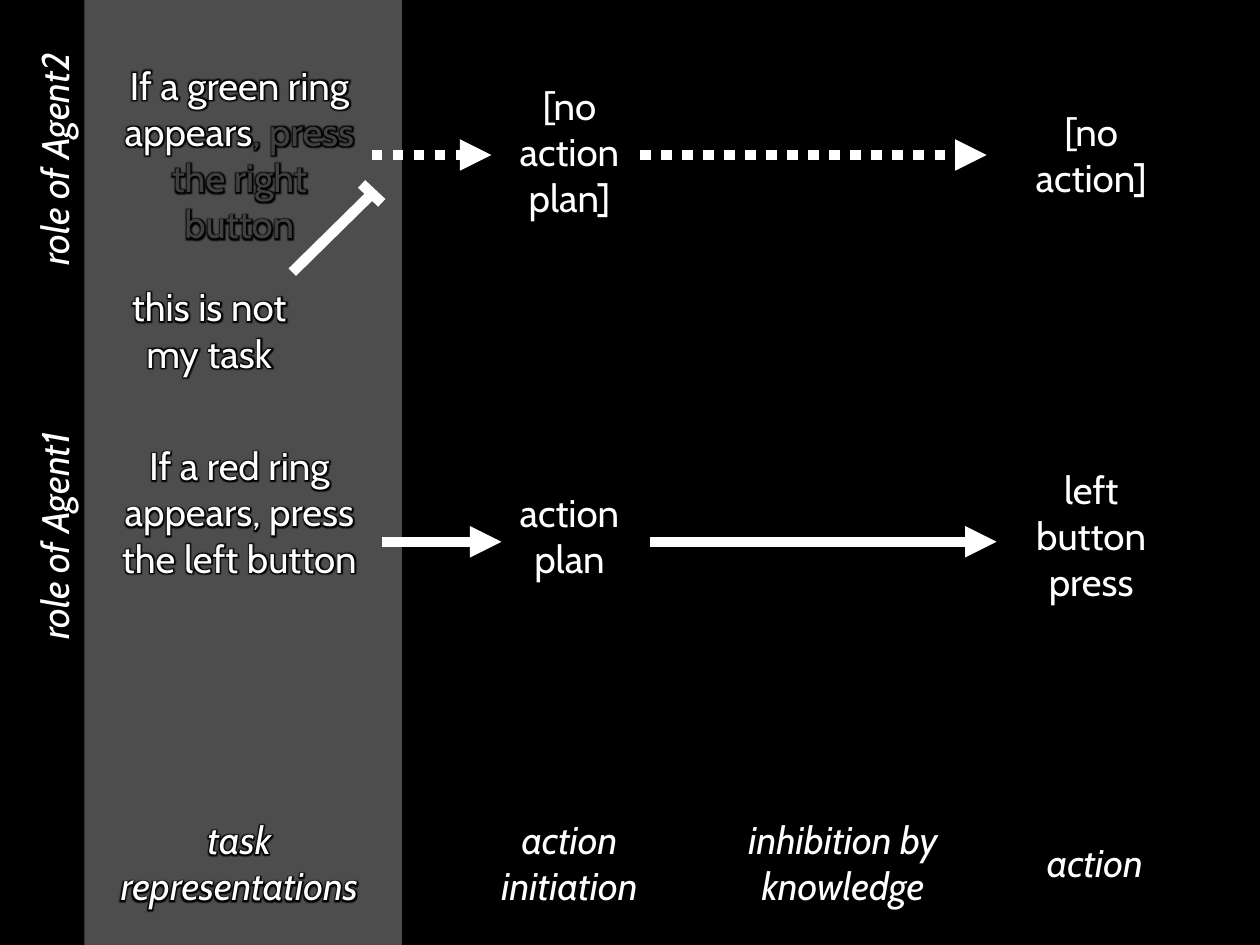
from lxml import etree
from pptx import Presentation
from pptx import util as u
from pptx.dml.color import RGBColor
from pptx.enum import dml, shapes, text
from pptx.oxml.ns import qn

WIDTH, HEIGHT = 10, 7.5


def color(value):
    """Turn a hex string into a colour."""
    return RGBColor.from_string(value)


class Diagram:
    """Holds the style and the slide, and draws each kind of element."""

    font, size, ink, muted = "Cabin", 22, "FFFFFF", "404040"
    line_height, padding, stroke, glow = 0.37, 0.1, 6, 5

    def __init__(self, slide):
        """Keep the slide and paint its background black."""
        self.slide = slide
        slide.background.fill.solid()
        slide.background.fill.fore_color.rgb = color("000000")

    def band(self, left, width, fill):
        """Draw a full-height band."""
        box = self.slide.shapes.add_shape(
            shapes.MSO_SHAPE.RECTANGLE, u.Inches(left), 0, u.Inches(width), u.Inches(HEIGHT))
        box.shadow.inherit = False
        box.fill.solid()
        box.fill.fore_color.rgb = color(fill)
        box.line.fill.background()

    def label(self, words, center, top, width, lines, italic=False,
              wrap=True, glow=False, rotation=0, faded=""):
        """Write a centred label, with an optional faded ending."""
        height = lines * self.line_height + self.padding
        box = self.slide.shapes.add_textbox(
            *map(u.Inches, (center - width / 2, top, width, height)))
        box.rotation = rotation
        frame = box.text_frame
        frame.word_wrap = wrap
        frame.auto_size = text.MSO_AUTO_SIZE.SHAPE_TO_FIT_TEXT
        para = frame.paragraphs[0]
        para.alignment = text.PP_ALIGN.CENTER
        para.font.name, para.font.size = self.font, u.Pt(self.size)
        para.font.italic = italic
        para.font.color.rgb = color(self.ink)
        for part, ink in ((words, self.ink), (faded, self.muted)):
            if part:
                span = para.add_run()
                span.text = part
                span.font.color.rgb = color(ink)
                if glow:
                    self.add_glow(span)

    def add_glow(self, span):
        """Put a black halo around a run."""
        effects = etree.SubElement(span.font._element, qn("a:effectLst"))
        halo = etree.SubElement(effects, qn("a:glow"), rad=str(u.Pt(self.glow)))
        etree.SubElement(halo, qn("a:srgbClr"), val="000000")

    def line(self, start, end, arrow=False, dotted=False):
        """Draw a thick line, with an optional arrowhead at its end."""
        link = self.slide.shapes.add_connector(
            shapes.MSO_CONNECTOR.STRAIGHT, *map(u.Inches, (*start, *end)))
        link.line.width = u.Pt(self.stroke)
        link.line.color.rgb = color(self.ink)
        if dotted:
            link.line.dash_style = dml.MSO_LINE.ROUND_DOT
            link.line._ln.find(qn("a:prstDash")).set("val", "sysDot")
        if arrow:
            etree.SubElement(link.line._ln, qn("a:tailEnd"), type="triangle")
        etree.SubElement(link._element.spPr, qn("a:effectLst"))


deck = Presentation()
deck.slide_width, deck.slide_height = u.Inches(WIDTH), u.Inches(HEIGHT)
diagram = Diagram(deck.slides.add_slide(deck.slide_layouts[6]))

TASK, PLAN, KNOWLEDGE, ACTION = 1.9, 4.52, 6.69, 8.66
diagram.band(0.67, 2.52, "4D4D4D")

# Task representations
diagram.label("If a green ring appears", TASK, 0.44, 2.2, 4, glow=True,
              faded=", press the right button")
diagram.label("this is not my task", 1.66, 2.2, 1.81, 2, glow=True)
diagram.label("If a red ring appears, press the left button", TASK, 3.46, 2.2, 3, glow=True)

# Plans and actions
for words, center, top, lines in (
        ("[no action plan]", PLAN, 0.6, 3), ("[no action]", ACTION, 0.81, 2),
        ("action plan", PLAN, 3.83, 2), ("left button press", ACTION, 3.65, 3)):
    diagram.label(words, center, top, 1.34, lines)

# Stage names
for words, center, width in (
        ("task representations", TASK, 2.47), ("action initiation", PLAN, 1.71),
        ("inhibition by knowledge", KNOWLEDGE, 1.97)):
    diagram.label(words, center, 6.43, width, 2, italic=True, glow=center == TASK)
diagram.label("action", 8.69, 6.61, 1.08, 1, italic=True, wrap=False)

# Role names
for words, top in (("role of Agent2", 1.03), ("role of Agent1", 4.02)):
    diagram.label(words, 0.43, top, 2.04, 1, italic=True, wrap=False, rotation=270)

# Inhibition mark
diagram.line((2.32, 2.16), (2.95, 1.54))
diagram.line((2.87, 1.46), (3.03, 1.61))

# Arrows between stages
for shift, y, dotted in ((0, 1.23, True), (0.08, 4.3, False)):
    for start, end in ((2.95, 3.9), (5.08, 7.83)):
        diagram.line((start + shift, y), (end + shift, y), arrow=True, dotted=dotted)

deck.save("out.pptx")
